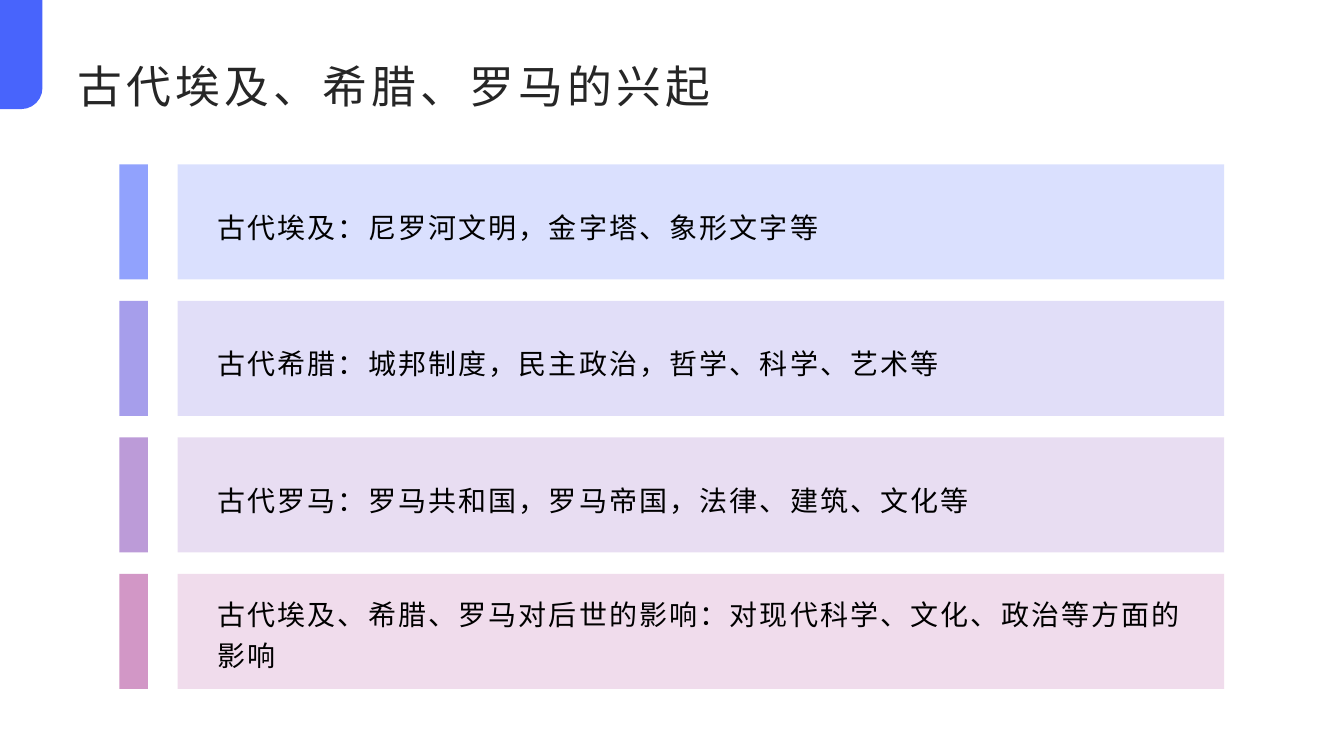
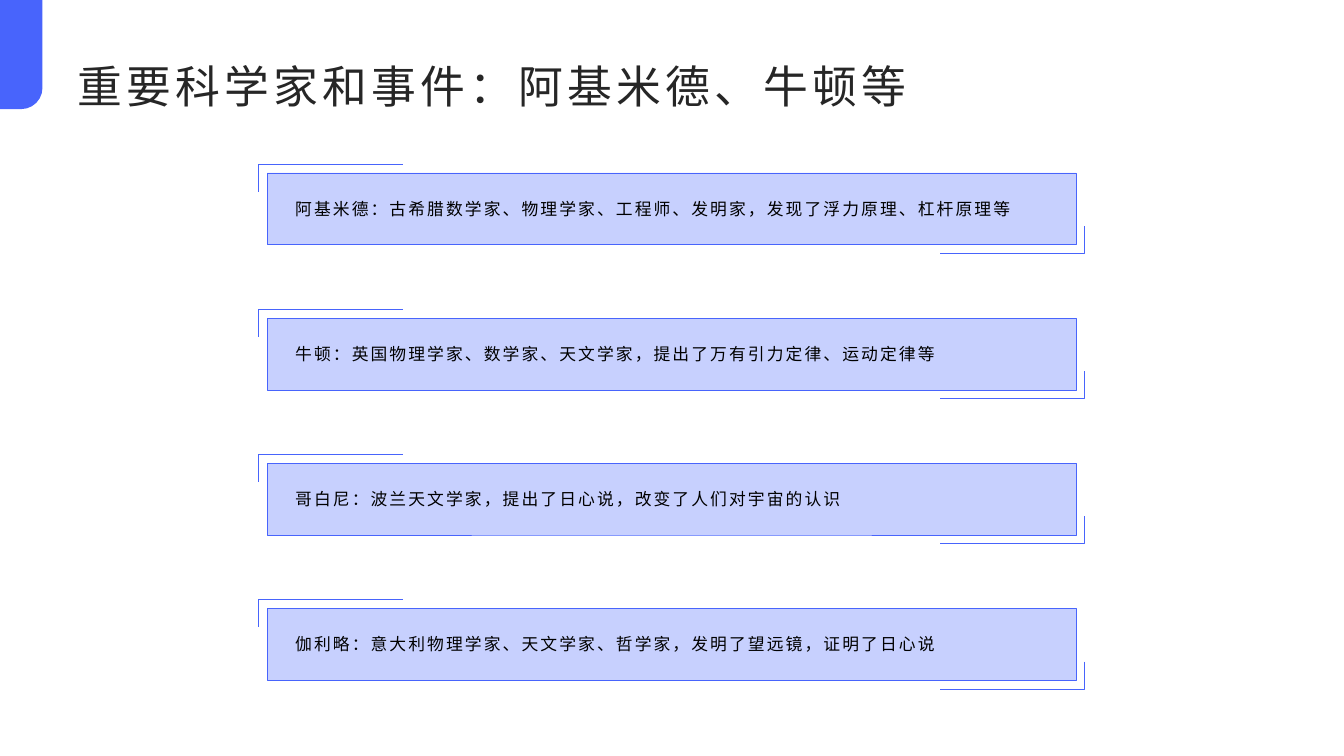
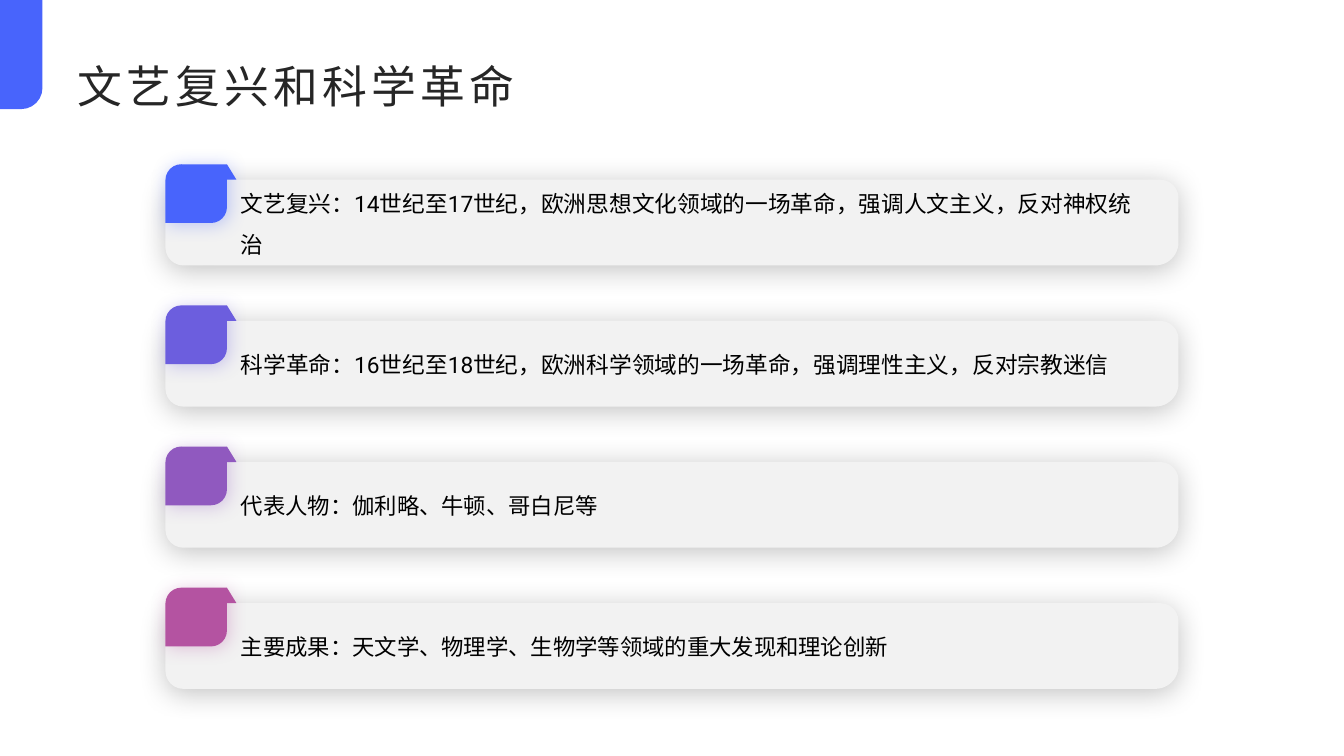
import dataclasses

import lxml.etree
import pptx
import pptx.dml.color
import pptx.enum.shapes
import pptx.enum.text
import pptx.oxml.ns
import pptx.util

Cm = pptx.util.Cm
Pt = pptx.util.Pt
RGBColor = pptx.dml.color.RGBColor
MSO_SHAPE = pptx.enum.shapes.MSO_SHAPE
MSO_ANCHOR = pptx.enum.text.MSO_ANCHOR
qn = pptx.oxml.ns.qn

BLUE = RGBColor(0x48, 0x64, 0xFC)
INDIGO = RGBColor(0x6C, 0x5E, 0xDE)
PURPLE = RGBColor(0x90, 0x59, 0xBF)
MAGENTA = RGBColor(0xB4, 0x53, 0xA1)
CARD_GREY = RGBColor(0xF2, 0xF2, 0xF2)
TITLE_GREY = RGBColor(0x26, 0x26, 0x26)
BLACK = RGBColor(0, 0, 0)
ROW_COLOURS = (BLUE, INDIGO, PURPLE, MAGENTA)


@dataclasses.dataclass
class Box:
    left: float
    top: float
    width: float
    height: float

    def inner(self, dx, dy, width, height):
        return Box(self.left + dx, self.top + dy, width, height)

    def lengths(self):
        return [Cm(v) for v in (self.left, self.top, self.width, self.height)]


@dataclasses.dataclass
class TextStyle:
    font: dict
    frame: dict
    colour: RGBColor = BLACK
    tracking: float = 0
    line_spacing: float = 1.0


DEFAULT_INSETS = {
    "margin_left": Cm(0.25), "margin_right": Cm(0.25),
    "margin_top": Cm(0.13), "margin_bottom": Cm(0.13), "word_wrap": True,
}
MIDDLE = {**DEFAULT_INSETS, "vertical_anchor": MSO_ANCHOR.MIDDLE}
TITLE = TextStyle(
    {"name": "Lato", "size": Pt(32)},
    {**DEFAULT_INSETS, "vertical_anchor": MSO_ANCHOR.BOTTOM},
    TITLE_GREY, 3)
CIVILISATION = TextStyle({"name": "Roboto", "size": Pt(20)}, MIDDLE, BLACK, 1.5, 1.3)
INFLUENCE = dataclasses.replace(CIVILISATION, line_spacing=1.2)
SCIENTIST = TextStyle(
    {"name": "Roboto", "size": Pt(12)}, {**MIDDLE, "margin_left": Cm(0.71)}, BLACK, 1.5)
TOPIC = TextStyle(
    {"name": "Roboto", "size": Pt(16)},
    {**MIDDLE, "margin_top": 0, "margin_bottom": Cm(0.3)}, line_spacing=1.5)
ERA = dataclasses.replace(TOPIC, font={"name": "Roboto", "size": Pt(16.2)})


def apply(target, values):
    for name, value in values.items():
        setattr(target, name, value)


def write(shape, text, style):
    frame = shape.text_frame
    apply(frame, style.frame)
    paragraph = frame.paragraphs[0]
    apply(paragraph, {"alignment": pptx.enum.text.PP_ALIGN.LEFT,
                      "line_spacing": style.line_spacing})
    run = paragraph.add_run()
    run.text = text
    apply(run.font, style.font)
    run.font.color.rgb = style.colour
    if style.tracking:
        run.font._element.set("spc", str(int(style.tracking * 100)))


def add_text(slide, box, text, style):
    write(slide.shapes.add_textbox(*box.lengths()), text, style)


def set_alpha(colour_element, percent):
    lxml.etree.SubElement(colour_element, qn("a:alpha"), val=str(percent * 1000))


def add_filled(slide, kind, box, colour, opacity=100, corners=()):
    shape = slide.shapes.add_shape(kind, *box.lengths())
    shape.shadow.inherit = False
    shape.fill.solid()
    shape.fill.fore_color.rgb = colour
    shape.line.fill.background()
    for index, corner in enumerate(corners):
        shape.adjustments[index] = corner
    if opacity < 100:
        set_alpha(shape.element.xpath("./p:spPr/a:solidFill/a:srgbClr")[0], opacity)
    return shape


def outline(shape):
    shape.line.color.rgb = BLUE
    shape.line.width = Pt(0.5)


def cast_shadow(shape, colour, opacity, blur, distance, angle):
    effects = shape.element.xpath("./p:spPr/a:effectLst")[0]
    shadow = lxml.etree.SubElement(
        effects, qn("a:outerShdw"), blurRad=str(Pt(blur)), dist=str(Pt(distance)),
        dir=str(angle * 60000), algn="t", rotWithShape="0")
    set_alpha(lxml.etree.SubElement(shadow, qn("a:srgbClr"), val=str(colour)), opacity)


def add_bracket(slide, points):
    (x, y), *rest = [(Cm(x), Cm(y)) for x, y in points]
    builder = slide.shapes.build_freeform(x, y)
    builder.add_line_segments(rest, close=False)
    bracket = builder.convert_to_shape()
    bracket.shadow.inherit = False
    bracket.fill.background()
    outline(bracket)


def civilisation_row(slide, box, text, style, colour):
    add_filled(slide, MSO_SHAPE.RECTANGLE,
               box.inner(1.47, 0, box.width - 1.47, box.height), colour, 20)
    add_filled(slide, MSO_SHAPE.RECTANGLE, box.inner(0, 0, 0.72, box.height), colour, 60)
    add_text(slide, box.inner(2.22, 0.25, 25.22, box.height - 0.5), text, style)


def scientist_row(slide, box, text, style, colour):
    gap, arm, rise = 0.22, 3.65, 0.69
    card = add_filled(slide, MSO_SHAPE.RECTANGLE,
                      box.inner(gap, gap, box.width - 2 * gap, box.height - 2 * gap), BLUE, 30)
    outline(card)
    write(card, text, style)
    right, bottom = box.left + box.width, box.top + box.height
    for x, y, side in ((box.left, box.top, 1), (right, bottom, -1)):
        add_bracket(slide, [(x, y + side * rise), (x, y), (x + side * arm, y)])


def topic_row(slide, box, text, style, colour):
    lip, tab_width = 0.39, 1.55
    card = add_filled(slide, MSO_SHAPE.ROUND_2_DIAG_RECTANGLE,
                      box.inner(0, lip, box.width, box.height - lip),
                      CARD_GREY, corners=(0.27, 0.21))
    cast_shadow(card, BLACK, 23, 20, 3, 107)
    tab = add_filled(slide, MSO_SHAPE.ROUND_2_DIAG_RECTANGLE,
                     box.inner(0, 0, tab_width, 1.48), colour, corners=(0.27, 0))
    cast_shadow(tab, colour, 31, 13, 2, 45)
    add_filled(slide, MSO_SHAPE.RIGHT_TRIANGLE, box.inner(tab_width, 0, 0.24, lip), colour)
    add_text(slide, box.inner(1.65, lip + 0.03, 23.06, 2.11), text, style)


def add_heading(slide, title):
    corner = add_filled(slide, MSO_SHAPE.ROUND_1_RECTANGLE,
                        Box(-0.84, 0.84, 2.75, 1.07), BLUE, corners=(0.5,))
    corner.rotation = 90
    add_text(slide, Box(1.7, 1.09, 30.48, 1.88), title, TITLE)


def add_rows(slide, box, row_height, draw_row, entries):
    pitch = (box.height - row_height) / (len(entries) - 1)
    for index, ((text, style), colour) in enumerate(zip(entries, ROW_COLOURS)):
        draw_row(slide, box.inner(0, index * pitch, box.width, row_height), text, style, colour)


SLIDES = [
    ("古代埃及、希腊、罗马的兴起", Box(3.01, 4.14, 27.84, 13.22), 2.9, civilisation_row, [
        ("古代埃及：尼罗河文明，金字塔、象形文字等", CIVILISATION),
        ("古代希腊：城邦制度，民主政治，哲学、科学、艺术等", CIVILISATION),
        ("古代罗马：罗马共和国，罗马帝国，法律、建筑、文化等", CIVILISATION),
        ("古代埃及、希腊、罗马对后世的影响：对现代科学、文化、政治等方面的影响", INFLUENCE),
    ]),
    ("重要科学家和事件：阿基米德、牛顿等", Box(6.51, 4.14, 20.83, 13.22), 2.25, scientist_row, [
        ("阿基米德：古希腊数学家、物理学家、工程师、发明家，发现了浮力原理、杠杆原理等", SCIENTIST),
        ("牛顿：英国物理学家、数学家、天文学家，提出了万有引力定律、运动定律等", SCIENTIST),
        ("哥白尼：波兰天文学家，提出了日心说，改变了人们对宇宙的认识", SCIENTIST),
        ("伽利略：意大利物理学家、天文学家、哲学家，发明了望远镜，证明了日心说", SCIENTIST),
    ]),
    ("文艺复兴和科学革命", Box(4.17, 4.14, 25.53, 13.22), 2.55, topic_row, [
        ("文艺复兴：14世纪至17世纪，欧洲思想文化领域的一场革命，强调人文主义，反对神权统治", ERA),
        ("科学革命：16世纪至18世纪，欧洲科学领域的一场革命，强调理性主义，反对宗教迷信", ERA),
        ("代表人物：伽利略、牛顿、哥白尼等", TOPIC),
        ("主要成果：天文学、物理学、生物学等领域的重大发现和理论创新", TOPIC),
    ]),
]


def main():
    deck = pptx.Presentation()
    apply(deck, {"slide_width": Cm(33.87), "slide_height": Cm(19.05)})
    for title, box, row_height, draw_row, entries in SLIDES:
        slide = deck.slides.add_slide(deck.slide_layouts[6])
        add_heading(slide, title)
        add_rows(slide, box, row_height, draw_row, entries)
    deck.save("out.pptx")


if __name__ == "__main__":
    main()
